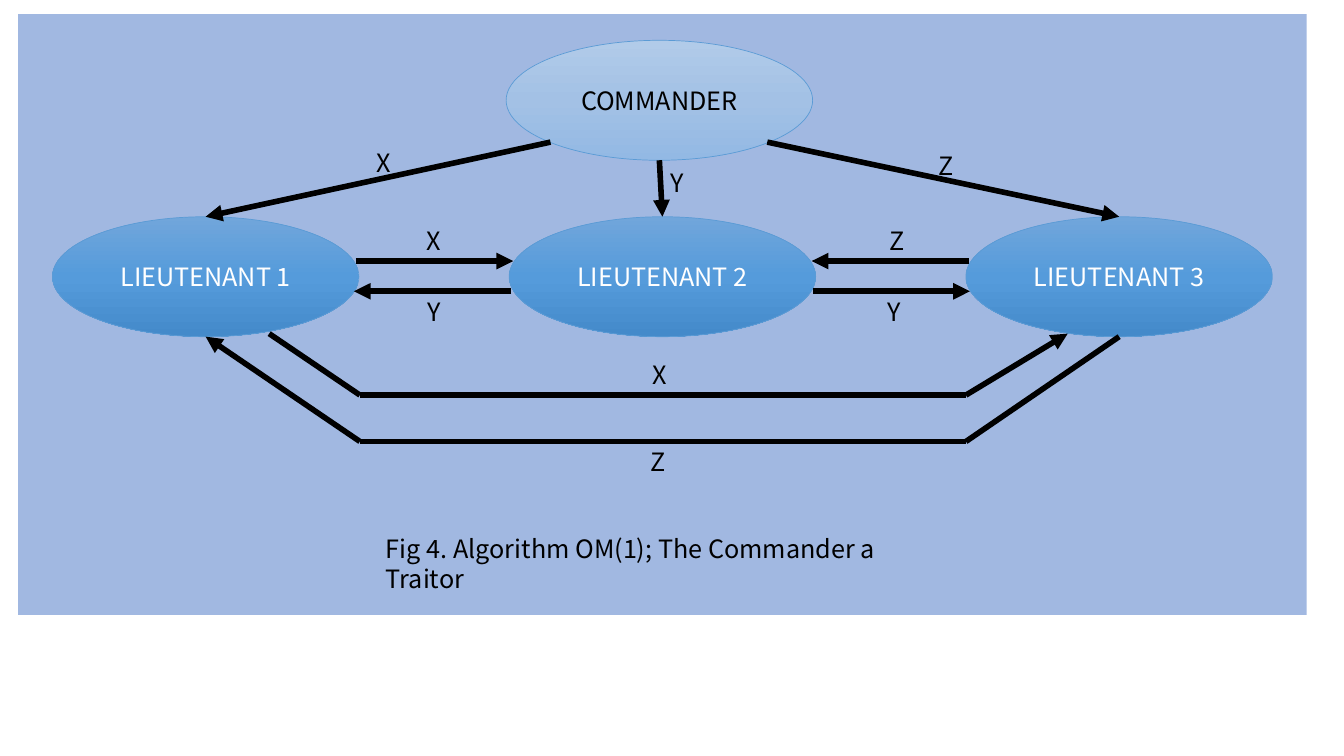
from copy import deepcopy

from lxml import etree
from pptx import Presentation
from pptx.dml.color import RGBColor
from pptx.enum.shapes import MSO_CONNECTOR, MSO_SHAPE
from pptx.enum.text import MSO_ANCHOR, PP_ALIGN
from pptx.oxml.ns import qn
from pptx.util import Inches, Pt

STRAIGHT = MSO_CONNECTOR.STRAIGHT
RECTANGLE, ELLIPSE = MSO_SHAPE.RECTANGLE, MSO_SHAPE.OVAL
LEFT, CENTER = PP_ALIGN.LEFT, PP_ALIGN.CENTER
TOP, MIDDLE = MSO_ANCHOR.TOP, MSO_ANCHOR.MIDDLE

FONT = "Noto Sans CJK SC"
BLACK, WHITE, PANEL, OUTLINE = "000000", "FFFFFF", "A1B8E1", "5B9BD5"
COMMANDER_GRADIENT = ["B1CBE9", "A3C1E5", "93B9E4"]
LIEUTENANT_GRADIENT = ["71A6DB", "559BDB", "448ACA"]

# Positions below are relative to the panel
PANEL_BOX = (0.18, 0.14, 12.78, 5.96)
GENERAL_WIDTH, GENERAL_HEIGHT = 3.04, 1.19
LIEUTENANT_LEFT, LIEUTENANT_TOP, LIEUTENANT_STEP = 0.34, 2.01, 4.53
LABEL_WIDTH, LABEL_HEIGHT = 0.36, 0.4

# Each message: value, top centre of its label, points from sender to receiver
MESSAGES = [
    ("X", (3.63, 1.27), [(5.28, 1.27), (1.86, 2.01)]),
    ("Y", (6.54, 1.47), [(6.36, 1.45), (6.39, 2.01)]),
    ("Z", (9.2, 1.3), [(7.43, 1.27), (10.92, 2.01)]),
    ("X", (4.12, 2.05), [(3.35, 2.45), (4.91, 2.45)]),
    ("Y", (4.13, 2.75), [(4.89, 2.75), (3.33, 2.75)]),
    ("Z", (8.72, 2.05), [(9.43, 2.45), (7.87, 2.45)]),
    ("Y", (8.69, 2.75), [(7.88, 2.75), (9.44, 2.75)]),
    ("X", (6.36, 3.38), [(2.49, 3.17), (3.39, 3.78), (9.4, 3.78), (10.41, 3.17)]),
    ("Z", (6.35, 4.24), [(10.92, 3.2), (9.4, 4.24), (3.39, 4.24), (1.86, 3.2)]),
]


def color(value):
    return RGBColor.from_string(value)


def write(shape, text, text_color, alignment, anchor, wrap=True):
    frame = shape.text_frame
    frame.word_wrap = wrap
    frame.vertical_anchor = anchor
    paragraph = frame.paragraphs[0]
    paragraph.alignment = alignment
    paragraph.line_spacing = Pt(21.5)
    run = paragraph.add_run()
    run.text = text
    run.font.size = Pt(18)
    run.font.name = FONT
    run.font.color.rgb = color(text_color)


def fill_gradient(shape, colors):
    shape.fill.gradient()
    shape.fill.gradient_angle = 270
    stop_list = shape._element.spPr.find(".//" + qn("a:gsLst"))
    stop_list.append(deepcopy(stop_list[0]))
    for index, stop in enumerate(shape.fill.gradient_stops):
        stop.color.rgb = color(colors[index])
        stop.position = index / (len(colors) - 1)


def add_general(slide, left, top, name, gradient, text_color):
    general = slide.shapes.add_shape(
        ELLIPSE, Inches(left), Inches(top), Inches(GENERAL_WIDTH), Inches(GENERAL_HEIGHT))
    general.shadow.inherit = False
    fill_gradient(general, gradient)
    general.line.color.rgb = color(OUTLINE)
    general.line.width = Pt(0.5)
    write(general, name, text_color, CENTER, MIDDLE)


def add_segment(slide, start, end, arrow):
    segment = slide.shapes.add_connector(STRAIGHT, *map(Inches, start + end))
    segment.line.color.rgb = color(BLACK)
    segment.line.width = Pt(4)
    if arrow:
        line = segment.line._get_or_add_ln()
        etree.SubElement(line, qn("a:tailEnd"), type="triangle")
    etree.SubElement(segment._element.spPr, qn("a:effectLst"))


def add_text(slide, box, text, alignment, wrap):
    text_box = slide.shapes.add_textbox(*map(Inches, box))
    write(text_box, text, BLACK, alignment, TOP, wrap)


def add_message(slide, left, top, value, label, points):
    points = [(left + x, top + y) for x, y in points]
    for index, (start, end) in enumerate(zip(points, points[1:]), 2):
        add_segment(slide, start, end, arrow=index == len(points))
    label_box = (left + label[0] - LABEL_WIDTH / 2, top + label[1], LABEL_WIDTH, LABEL_HEIGHT)
    add_text(slide, label_box, value, CENTER, wrap=False)


def add_generals_diagram(slide, box):
    left, top = box[:2]
    # Panel
    panel = slide.shapes.add_shape(RECTANGLE, *map(Inches, box))
    panel.shadow.inherit = False
    panel.fill.solid()
    panel.fill.fore_color.rgb = color(PANEL)
    panel.line.fill.background()
    # Commander and lieutenants
    add_general(slide, left + 4.84, top + 0.26, "COMMANDER", COMMANDER_GRADIENT, BLACK)
    for index in range(3):
        add_general(slide, left + LIEUTENANT_LEFT + index * LIEUTENANT_STEP,
                    top + LIEUTENANT_TOP, f"LIEUTENANT {index + 1}",
                    LIEUTENANT_GRADIENT, WHITE)
    # Messages
    for message in MESSAGES:
        add_message(slide, left, top, *message)
    # Caption
    add_text(slide, (left + 3.55, top + 5.1, 5.61, 0.7),
             "Fig 4. Algorithm OM(1); The Commander a Traitor", LEFT, wrap=True)


presentation = Presentation()
presentation.slide_width = Inches(13.33)
presentation.slide_height = Inches(7.5)
slide = presentation.slides.add_slide(presentation.slide_layouts[6])
add_generals_diagram(slide, PANEL_BOX)
presentation.save("out.pptx")
